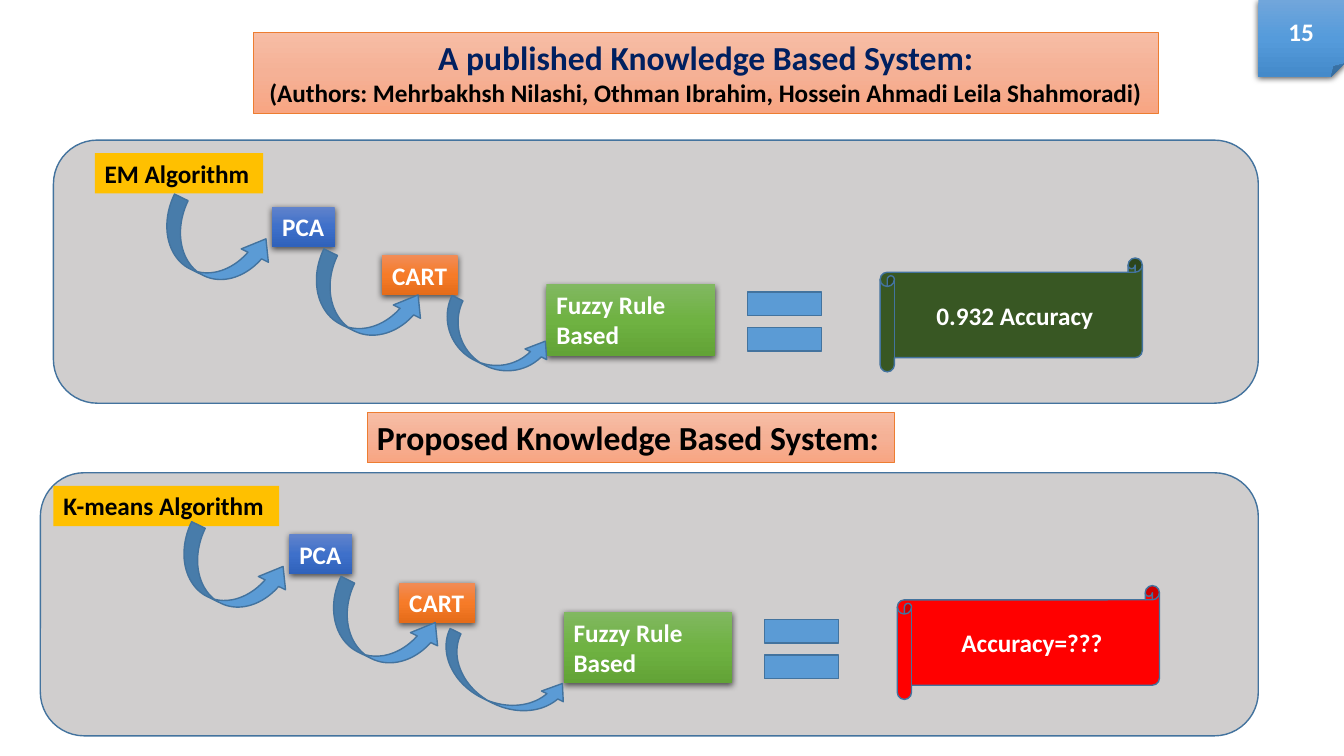
from copy import deepcopy
from lxml.etree import SubElement
from pptx import Presentation
from pptx.dml.color import RGBColor
from pptx.enum.shapes import MSO_SHAPE
from pptx.enum.text import MSO_ANCHOR, MSO_AUTO_SIZE, PP_ALIGN
from pptx.oxml.ns import qn
from pptx.util import Inches, Pt

THEME = {
    "font": "Calibri",
    "heading_size": 24,
    "body_size": 18,
    "black": "000000",
    "white": "FFFFFF",
    "navy": "002060",
    "panel": "D0CECE",
    "method": "FFC000",
    "flow": "5B9BD5",
    "flow_line": ("43739E", 1),
    "heading_line": ("ED7D31", 0.5),
    "heading": ("F7BDA5", "F5B196", "F8A582"),
    "blue": ("6183CB", "3E70CA", "3062BB"),
    "orange": ("F18C57", "F67B28", "E56C19"),
    "green": ("81B861", "6FB242", "62A336"),
    "page": ("71A6DB", "559BDB", "448ACA"),
    "published": "385723",
    "proposed": "FF0000",
}

COLUMNS, ROWS = 13.33, 7.5
CELL = Inches(1)
ARROW_TURN = 26.1

TITLE = {
    "box": (2.51, 0.32, 8.98, 0.81),
    "lines": [
        ("A published Knowledge Based System:", "heading_size", "navy"),
        ("(Authors: Mehrbakhsh Nilashi, Othman Ibrahim, Hossein Ahmadi Leila Shahmoradi)",
         "body_size", "black"),
    ],
}
SUBTITLE = ("Proposed Knowledge Based System:", (3.64, 4.09, 5.23, 0.5))
PAGE_NUMBER = ("15", (COLUMNS - 0.85, 0, 0.85, 0.76))

STAGES = [
    ("PCA", (2.7, 2.05, 0.62, 0.4), "blue", False),
    ("CART", (3.79, 2.53, 0.75, 0.4), "orange", False),
    ("Fuzzy Rule Based", (5.42, 2.82, 1.67, 0.71), "green", True),
]
SHARED_ARROWS = [(1.54, 2.15, 1.16, 0.6), (3.02, 2.7, 1.19, 0.6)]
EQUALS = (7.28, 2.69, 1, 1)
RESULT = (8.73, 2.56, 2.6, 1.13)

SYSTEMS = [
    {
        "shift": (0, 0),
        "panel": (0.53, 1.39, 11.95, 2.61),
        "method": ("EM Algorithm", (0.94, 1.52, 1.67, 0.4)),
        "last_arrow": (4.32, 3.16, 1.15, 0.48),
        "result": ("0.932 Accuracy", "published"),
    },
    {
        "shift": (0.17, 3.25),
        "panel": (0.4, 4.69, 12.08, 2.61),
        "method": ("K-means Algorithm", (0.53, 4.82, 2.24, 0.4)),
        "last_arrow": (4.29, 6.51, 1.36, 0.48),
        "result": ("Accuracy=???", "proposed"),
    },
]


def apply(target, values):
    for name, value in values.items():
        setattr(target, name, value)


def place(shape, box):
    names = ("left", "top", "width", "height")
    apply(shape, {name: round(cells * CELL) for name, cells in zip(names, box)})


def shifted(box, shift):
    return (box[0] + shift[0], box[1] + shift[1], *box[2:])


def paint(shape, fill, line=None, raised=False):
    colors = THEME[fill]
    if isinstance(colors, str):
        shape.fill.solid()
        shape.fill.fore_color.rgb = RGBColor.from_string(colors)
    else:
        shape.fill.gradient()
        shape.fill.gradient_angle = 270
        stops = next(shape._element.spPr.iter(qn("a:gsLst")))
        stops.append(deepcopy(stops[0]))
        for index, (stop, color) in enumerate(zip(shape.fill.gradient_stops, colors)):
            stop.position = index / 2
            stop.color.rgb = RGBColor.from_string(color)
    if line:
        color, width = THEME[line]
        shape.line.color.rgb = RGBColor.from_string(color)
        shape.line.width = Pt(width)
    else:
        shape.line.fill.background()
    shape.shadow.inherit = False
    if raised:
        effects = shape._element.spPr.find(qn("a:effectLst"))
        shadow = SubElement(effects, qn("a:outerShdw"), blurRad="57150", dist="19050",
                            dir="5400000", algn="ctr", rotWithShape="0")
        color = SubElement(shadow, qn("a:srgbClr"), val=THEME["black"])
        SubElement(color, qn("a:alpha"), val="63000")


def write(shape, lines, align=PP_ALIGN.LEFT, anchor=MSO_ANCHOR.TOP, wrap=True):
    frame = shape.text_frame
    frame.text = "\n".join(text for text, _, _ in lines)
    apply(frame, {"auto_size": MSO_AUTO_SIZE.NONE, "word_wrap": wrap, "vertical_anchor": anchor,
                  "margin_left": Inches(0.1), "margin_right": Inches(0.1),
                  "margin_top": Inches(0.05), "margin_bottom": Inches(0.05)})
    for paragraph, (_, size, color) in zip(frame.paragraphs, lines):
        apply(paragraph, {"alignment": align, "space_before": Pt(0), "line_spacing": 1.0})
        for run in paragraph.runs:
            apply(run.font, {"name": THEME["font"], "size": Pt(THEME[size]), "bold": True})
            run.font.color.rgb = RGBColor.from_string(THEME[color])


def add(slide, kind, box, fill, line=None, raised=False):
    shape = slide.shapes.add_shape(kind, 0, 0, CELL, CELL)
    place(shape, box)
    paint(shape, fill, line, raised)
    return shape


def add_arrow(slide, box):
    arrow = add(slide, MSO_SHAPE.CURVED_UP_ARROW, box, "flow", "flow_line")
    arrow.rotation = ARROW_TURN
    for index, share in enumerate((0.25, 0.5, 0.33)):
        arrow.adjustments[index] = share


def add_system(slide, system):
    shift = system["shift"]
    add(slide, MSO_SHAPE.ROUNDED_RECTANGLE, system["panel"], "panel", "flow_line")

    method, method_box = system["method"]
    label = add(slide, MSO_SHAPE.RECTANGLE, method_box, "method")
    write(label, [(method, "body_size", "black")])

    for name, box, fill, wrap in STAGES:
        stage = add(slide, MSO_SHAPE.RECTANGLE, shifted(box, shift), fill, raised=True)
        write(stage, [(name, "body_size", "white")], wrap=wrap)

    for box in SHARED_ARROWS:
        add_arrow(slide, shifted(box, shift))
    add_arrow(slide, system["last_arrow"])

    add(slide, MSO_SHAPE.MATH_EQUAL, shifted(EQUALS, shift), "flow", "flow_line")
    accuracy, fill = system["result"]
    scroll = add(slide, MSO_SHAPE.HORIZONTAL_SCROLL, shifted(RESULT, shift), fill, "flow_line")
    write(scroll, [(accuracy, "body_size", "white")], PP_ALIGN.CENTER, MSO_ANCHOR.MIDDLE)


def main():
    deck = Presentation()
    apply(deck, {"slide_width": Inches(COLUMNS), "slide_height": Inches(ROWS)})
    slide = deck.slides.add_slide(deck.slide_layouts.get_by_name("Title Only"))

    title = slide.shapes.title
    place(title, TITLE["box"])
    paint(title, "heading", "heading_line")
    write(title, TITLE["lines"], PP_ALIGN.CENTER, wrap=False)

    for system in SYSTEMS:
        add_system(slide, system)

    text, box = SUBTITLE
    subtitle = add(slide, MSO_SHAPE.RECTANGLE, box, "heading", "heading_line")
    write(subtitle, [(text, "heading_size", "black")], wrap=False)

    text, box = PAGE_NUMBER
    page = add(slide, MSO_SHAPE.FOLDED_CORNER, box, "page", raised=True)
    write(page, [(text, "body_size", "white")], PP_ALIGN.CENTER, MSO_ANCHOR.MIDDLE)

    deck.save("out.pptx")


if __name__ == "__main__":
    main()
